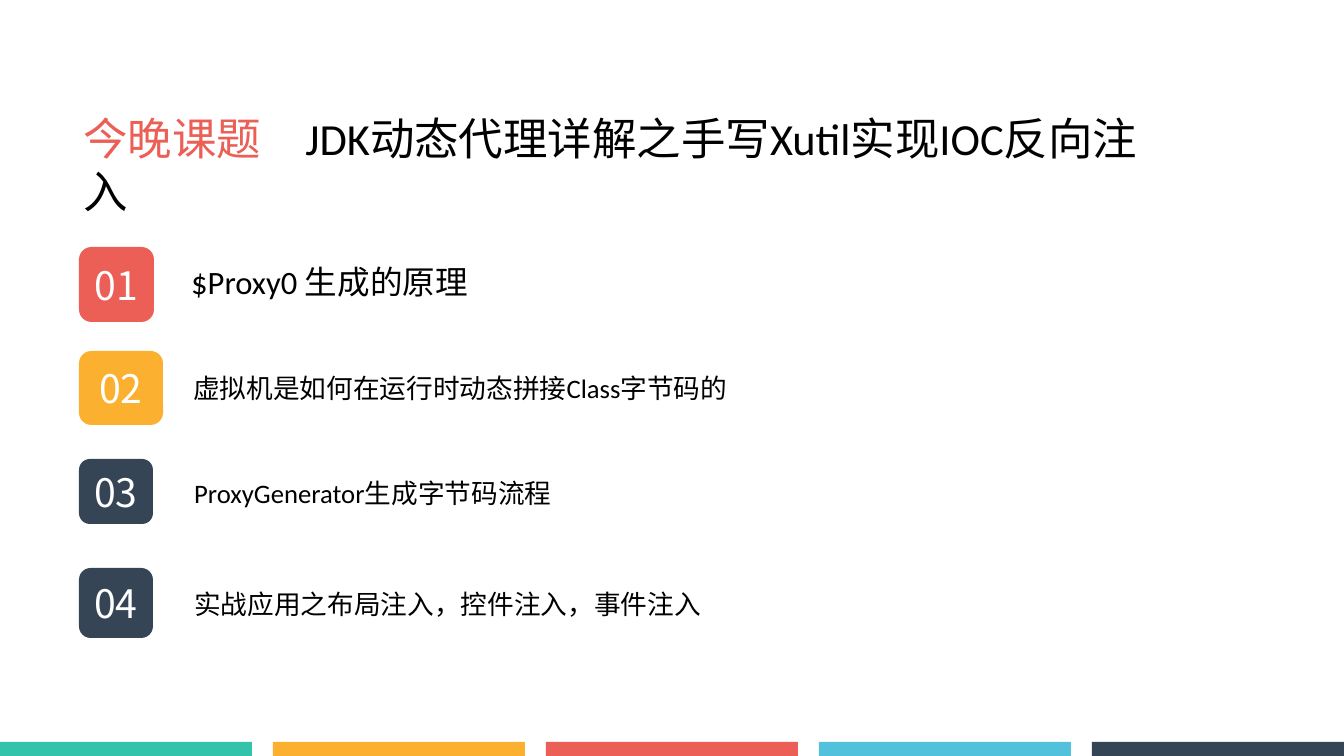
from pptx import Presentation
from pptx.dml.color import RGBColor
from pptx.enum.lang import MSO_LANGUAGE_ID
from pptx.enum.shapes import MSO_SHAPE
from pptx.enum.text import MSO_ANCHOR, MSO_AUTO_SIZE, PP_ALIGN
from pptx.util import Pt

EMU_PER_PX = 17145
PAGE_WIDTH, PAGE_HEIGHT = 1344, 756
BAR_WIDTH, BAR_HEIGHT, BAR_PITCH = 252, 14, 273
BADGE_LEFT = 79

TEAL = RGBColor(0x33, 0xC3, 0xAB)
AMBER = RGBColor(0xFC, 0xB0, 0x30)
CORAL = RGBColor(0xEB, 0x5F, 0x56)
SKY = RGBColor(0x52, 0xC2, 0xDC)
NAVY = RGBColor(0x36, 0x45, 0x55)
BLACK = RGBColor(0x00, 0x00, 0x00)
WHITE = RGBColor(0xFF, 0xFF, 0xFF)

LATIN_FONT = "Calibri"
CHINESE_FONT = "Noto Sans CJK SC"

TOPICS = [
    ("01", CORAL, (247, 75, 75), "$Proxy0 生成的原理", 44, (186, 259, 1060, 45)),
    ("02", AMBER, (351, 84, 74), "虚拟机是如何在运行时动态拼接Class字节码的", 36, (188, 369, 966, 38)),
    ("03", NAVY, (459, 74, 65), "ProxyGenerator生成字节码流程", 36, (189, 474, 671, 38)),
    ("04", NAVY, (568, 74, 70), "实战应用之布局注入，控件注入，事件注入", 36, (189, 585, 956, 38)),
]


def px(*lengths):
    return [length * EMU_PER_PX for length in lengths]


def add_span(para, text, size, font_name, color):
    span = para.add_run()
    span.text = text
    span.font.size = Pt(size)
    span.font.name = font_name
    span.font.color.rgb = color
    span.font.language_id = MSO_LANGUAGE_ID.SIMPLIFIED_CHINESE


def add_block(page, kind, bounds, color):
    block = page.shapes.add_shape(kind, *px(*bounds))
    block.shadow.inherit = False
    block.fill.solid()
    block.fill.fore_color.rgb = color
    block.line.fill.background()
    return block


def add_badge(page, number, bounds, color):
    badge = add_block(page, MSO_SHAPE.ROUNDED_RECTANGLE, bounds, color)
    frame = badge.text_frame
    frame.margin_left = frame.margin_right = 0
    frame.margin_top = frame.margin_bottom = 0
    frame.vertical_anchor = MSO_ANCHOR.MIDDLE
    para = frame.paragraphs[0]
    para.alignment = PP_ALIGN.CENTER
    add_span(para, number, 52.9, CHINESE_FONT, WHITE)


def add_text(page, bounds, spans):
    box = page.shapes.add_textbox(*px(*bounds))
    frame = box.text_frame
    frame.word_wrap = True
    frame.auto_size = MSO_AUTO_SIZE.SHAPE_TO_FIT_TEXT
    for span in spans:
        add_span(frame.paragraphs[0], *span)


def main():
    deck = Presentation()
    deck.slide_width, deck.slide_height = px(PAGE_WIDTH, PAGE_HEIGHT)
    page = deck.slides.add_slide(deck.slide_layouts[6])

    for index, color in enumerate([TEAL, AMBER, CORAL, SKY, NAVY]):
        bounds = (index * BAR_PITCH, PAGE_HEIGHT - BAR_HEIGHT, BAR_WIDTH, BAR_HEIGHT)
        add_block(page, MSO_SHAPE.RECTANGLE, bounds, color)

    for number, color, badge_bounds, topic, size, text_bounds in TOPICS:
        add_badge(page, number, (BADGE_LEFT, *badge_bounds), color)
        add_text(page, text_bounds, [(topic, size, LATIN_FONT, BLACK)])

    add_text(page, (78, 108, 1105, 59), [
        ("今晚课题　", 60, CHINESE_FONT, CORAL),
        ("JDK动态代理详解之手写Xutil实现IOC反向注入", 60, LATIN_FONT, BLACK),
    ])
    deck.save("out.pptx")


if __name__ == "__main__":
    main()
